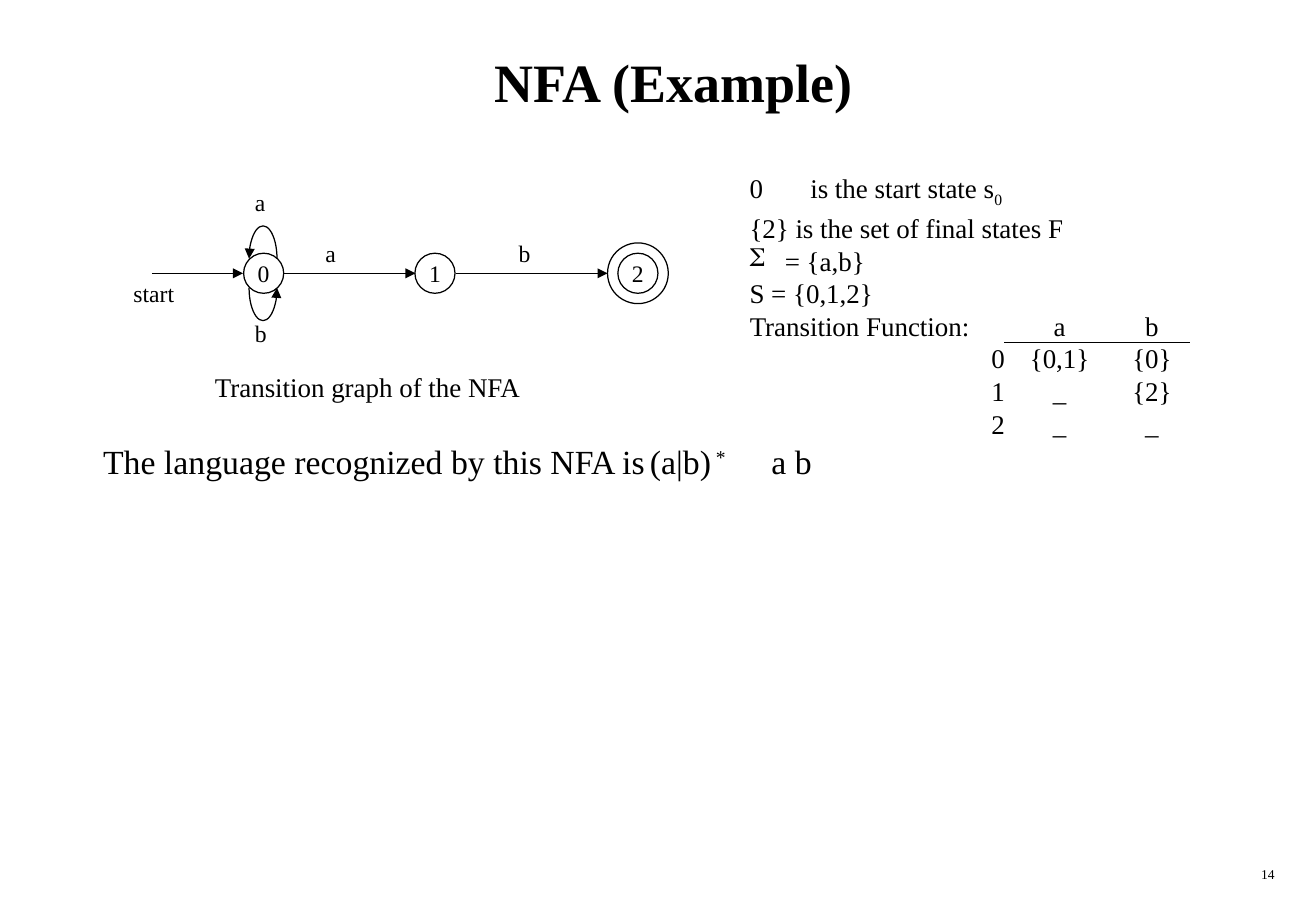
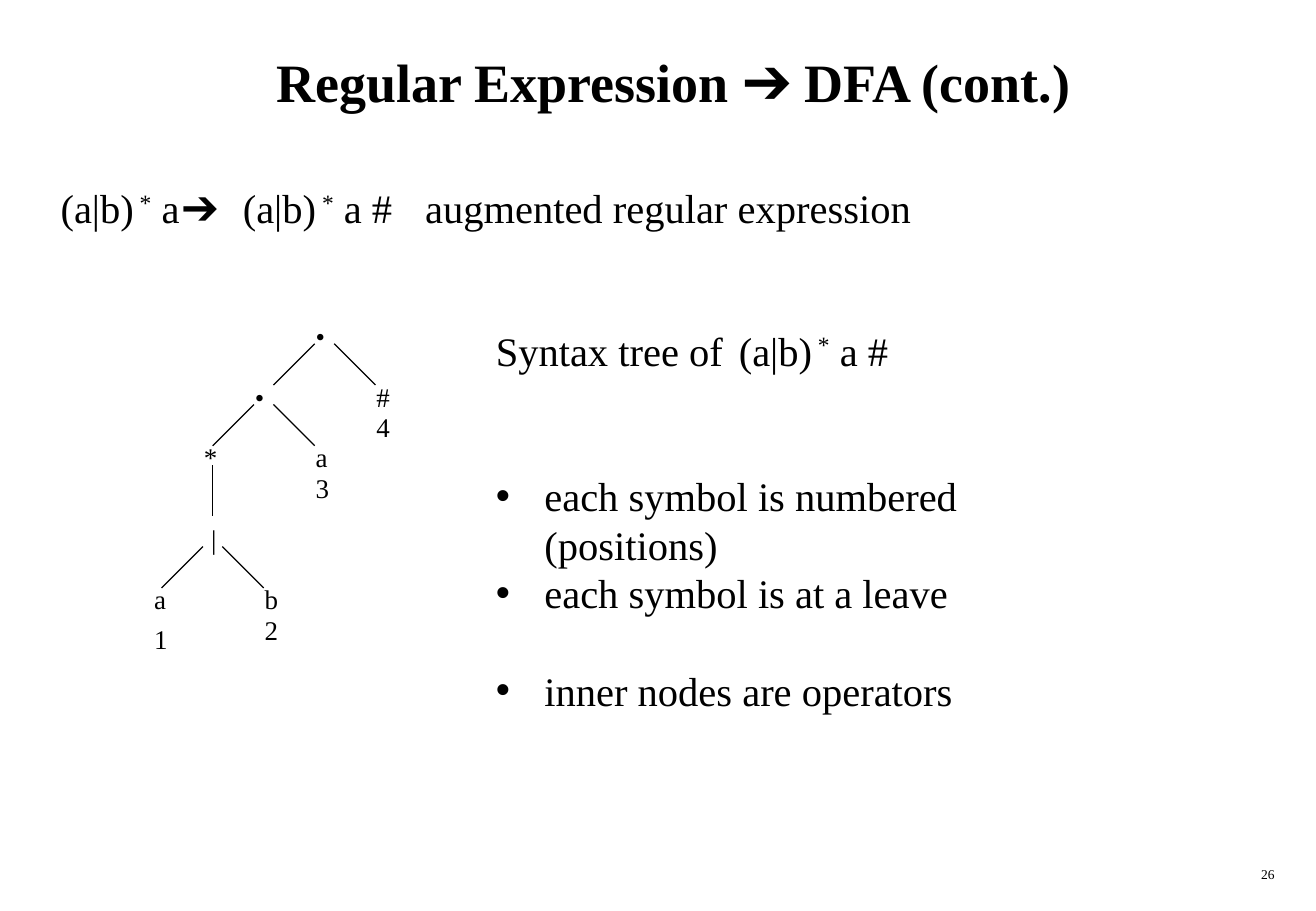
from lxml import etree
from pptx import Presentation
from pptx.dml.color import RGBColor
from pptx.enum.shapes import MSO_CONNECTOR, MSO_SHAPE
from pptx.enum.text import MSO_ANCHOR, MSO_AUTO_SIZE, PP_ALIGN
from pptx.oxml.ns import qn
from pptx.util import Inches, Pt

STRAIGHT = MSO_CONNECTOR.STRAIGHT
ELLIPSE, ARC = MSO_SHAPE.OVAL, MSO_SHAPE.ARC
LEFT, CENTER, RIGHT = PP_ALIGN.LEFT, PP_ALIGN.CENTER, PP_ALIGN.RIGHT
TOP, MIDDLE = MSO_ANCHOR.TOP, MSO_ANCHOR.MIDDLE
NO_AUTOFIT = MSO_AUTO_SIZE.NONE
TITLE_ONLY, TITLE_AND_BODY = 5, 1

FONT = "Times New Roman"
BLACK = "000000"
LINE_WIDTH = 0.75
LINE_HEIGHT = 1.2
STATE_SIZE, FINAL_SIZE = 0.33, 0.5
STATE_AXIS = 2.25
SUB, SUPER = -25, 30
STAR = (" *", SUPER)


def color(value):
    """Turn a hex string into a colour."""
    return RGBColor.from_string(value)


def write(para, text, *, size, bold=False, baseline=0, hue=BLACK):
    """Add one formatted span of text to a paragraph."""
    span = para.add_run()
    span.text = text
    span.font.name = FONT
    span.font.size = Pt(size)
    span.font.bold = bold
    span.font.color.rgb = color(hue)
    if baseline:
        span.font._element.set("baseline", str(baseline * 1000))


def fill_para(para, spans, *, size, align=LEFT, before=0, indent=0, bullet=None,
              tabs=(), bold=False):
    """Lay out a paragraph and write its spans, each a string or (string, baseline)."""
    props = para._p.get_or_add_pPr()
    props.set("marL", str(Inches(indent)))
    props.set("indent", str(-Inches(indent)))
    if bullet:
        etree.SubElement(props, qn("a:buChar")).set("char", bullet)
    else:
        etree.SubElement(props, qn("a:buNone"))
    if tabs:
        stops = etree.SubElement(props, qn("a:tabLst"))
        for position in tabs:
            etree.SubElement(stops, qn("a:tab"), pos=str(Inches(position)), algn="l")
    para.alignment = align
    para.line_spacing = Pt(round(size * LINE_HEIGHT, 1))
    para.space_before = Pt(before)
    para.space_after = Pt(0)
    for part in spans:
        text, baseline = (part, 0) if isinstance(part, str) else part
        write(para, text, size=size, bold=bold, baseline=baseline)


def fill_box(box, paras, *, size, anchor=TOP, margin=0.1, **style):
    """Fill a shape with paragraphs given as (spans, format) pairs."""
    frame = box.text_frame
    frame.word_wrap = True
    frame.auto_size = NO_AUTOFIT
    frame.vertical_anchor = anchor
    frame.margin_left = frame.margin_right = Inches(margin)
    frame.margin_top = frame.margin_bottom = Inches(margin / 2)
    for index, (spans, extra) in enumerate(paras):
        para = frame.add_paragraph() if index else frame.paragraphs[0]
        fill_para(para, spans, size=size, **style, **extra)


def place(shape, left, top, width, height):
    """Move and size a shape, in inches."""
    shape.left, shape.top = Inches(left), Inches(top)
    shape.width, shape.height = Inches(width), Inches(height)


def add_text(page, paras, area, **style):
    """Add a text box."""
    box = page.shapes.add_textbox(*map(Inches, area))
    fill_box(box, paras, **style)


def add_label(page, text, left, top, size):
    """Add a short label of one line."""
    add_text(page, [([text], {})], (left, top, 0.8, 0.35), size=size)


def add_page(deck, layout, title, number):
    """Add a slide with its title and page number."""
    page = deck.slides.add_slide(deck.slide_layouts[layout])
    place(page.shapes.title, 0.42, 0.17, 10.25, 1)
    fill_box(page.shapes.title, [([title], {})], size=32, anchor=MIDDLE,
             align=CENTER, bold=True)
    add_text(page, [([number], {})], (8.33, 7.08, 2.26, 0.25), size=8, align=RIGHT)
    return page


def style_line(shape, arrow=None):
    """Draw a thin black line, with an arrowhead at headEnd or tailEnd."""
    shape.line.color.rgb = color(BLACK)
    shape.line.width = Pt(LINE_WIDTH)
    if arrow:
        etree.SubElement(shape.line._get_or_add_ln(), qn("a:" + arrow)).set("type", "triangle")


def add_line(page, start, end, arrow=None):
    """Add a straight line between two points."""
    line = page.shapes.add_connector(STRAIGHT, *map(Inches, start + end))
    style_line(line, arrow)
    etree.SubElement(line._element.spPr, qn("a:effectLst"))


def add_outline(page, kind, area, arrow=None):
    """Add an unfilled shape with a thin outline."""
    shape = page.shapes.add_shape(kind, *map(Inches, area))
    shape.shadow.inherit = False
    shape.fill.background()
    style_line(shape, arrow)
    return shape


def add_circle(page, middle, diameter):
    """Add a circle centred on the axis of the states."""
    radius = diameter / 2
    return add_outline(page, ELLIPSE, (middle - radius, STATE_AXIS - radius, diameter, diameter))


def add_state(page, name, middle):
    """Add a numbered state."""
    fill_box(add_circle(page, middle, STATE_SIZE), [([name], {})], size=14,
             anchor=MIDDLE, align=CENTER, margin=0)


def add_loop(page, top, start, end):
    """Add a half-ellipse arrow that returns to state 0."""
    loop = add_outline(page, ARC, (2.05, top, 0.23, 0.54), "headEnd")
    loop.adjustments[0] = start * 0.6
    loop.adjustments[1] = end * 0.6


def add_border(cell, side):
    """Give one side of a table cell a black line."""
    border = etree.Element(qn("a:" + side), w=str(Pt(LINE_WIDTH)))
    fill = etree.SubElement(border, qn("a:solidFill"))
    etree.SubElement(fill, qn("a:srgbClr")).set("val", BLACK)
    cell._tc.get_or_add_tcPr().insert(0, border)


def add_transition_table(page, rows, left, top, widths, row_height):
    """Add the transition function, with a rule under its input symbols."""
    frame = page.shapes.add_table(len(rows), len(widths), Inches(left), Inches(top),
                                  Inches(sum(widths)), Inches(row_height * len(rows)))
    table = frame.table
    table.first_row = table.horz_banding = False
    for column, width in zip(table.columns, widths):
        column.width = Inches(width)
    for y, row in enumerate(rows):
        table.rows[y].height = Inches(row_height)
        for x, text in enumerate(row):
            cell = table.cell(y, x)
            cell.fill.background()
            cell.margin_left = cell.margin_right = 0
            cell.margin_top = cell.margin_bottom = 0
            align = CENTER if x else RIGHT if y else LEFT
            fill_para(cell.text_frame.paragraphs[0], [text], size=16, align=align)
            if x and y < 2:
                add_border(cell, "lnT" if y else "lnB")


def add_branches(page, middle, top):
    """Add the two lines that lead down from a node of the tree."""
    for side in (-1, 1):
        add_line(page, (middle + side * 0.08, top), (middle + side * 0.42, top + 0.34))


def build_nfa(deck):
    """Build the slide with the transition graph."""
    page = add_page(deck, TITLE_ONLY, "NFA (Example)", "14")
    for name, middle in (("0", 2.17), ("1", 3.58), ("2", 5.25)):
        add_state(page, name, middle)
    add_circle(page, 5.25, FINAL_SIZE)
    for start, end in ((1.25, 2), (2.33, 3.42), (3.75, 5)):
        add_line(page, (start, STATE_AXIS), (end, STATE_AXIS), "tailEnd")
    add_loop(page, 1.86, 180, 0)
    add_loop(page, 2.1, 0, 180)
    for text, left, top in (("a", 2.58, 1.92), ("b", 4.17, 1.92), ("start", 1, 2.25),
                            ("a", 2, 1.5), ("b", 2, 2.58)):
        add_label(page, text, left, top, 14)
    add_text(page, [
        (["0\tis the start state s", ("0", SUB)], {"tabs": (0.22,)}),
        (["{2} is the set of final states F"], {"before": 2}),
        (["= {a,b}"], {"bullet": "Σ", "indent": 0.29}),
        (["S = {0,1,2}"], {}),
    ], (6.07, 1.4, 3.69, 1.2), size=16)
    add_transition_table(page, [
        ("Transition Function:", "a", "b"),
        ("0", "{0,1}", "{0}"),
        ("1", "_", "{2}"),
        ("2", "_", "_"),
    ], 6.17, 2.55, (2.1, 0.9, 0.62), 0.27)
    add_text(page, [(["Transition graph of the NFA"], {})], (1.67, 3, 3.39, 0.37), size=16)
    add_text(page, [(["The language recognized by this NFA is\t(a|b)", STAR, "\ta b"],
                     {"tabs": (4.66, 5.41)})], (0.75, 3.58, 6.83, 0.43), size=20)


def build_syntax_tree(deck):
    """Build the slide with the syntax tree."""
    page = add_page(deck, TITLE_AND_BODY, "Regular Expression ➔ DFA (cont.)", "26")
    add_text(page, [(["(a|b)", STAR, " a\t➔\t(a|b)", STAR, " a #\taugmented regular expression"],
                     {"tabs": (1.24, 1.7, 3)})], (0.4, 1.46, 8.28, 0.5), size=24)
    for middle, top in ((2.67, 2.83), (2.17, 3.33), (1.75, 4.5)):
        add_branches(page, middle, top)
    add_line(page, (1.75, 3.83), (1.75, 4.25))
    for text, left, top in (("•", 2.5, 2.58), ("•", 2, 3.08), ("*", 1.58, 3.58),
                            ("|", 1.64, 4.25)):
        add_label(page, text, left, top, 16)
    for symbol, position, left, top, drop in (
            ("a", "1", 1.17, 4.75, 0.33), ("b", "2", 2.08, 4.75, 0.25),
            ("a", "3", 2.5, 3.58, 0.25), ("#", "4", 3, 3.08, 0.25)):
        add_label(page, symbol, left, top, 16)
        add_label(page, position, left, top + drop, 16)
    body = page.placeholders[1]
    place(body, 3.98, 2.63, 5.39, 3.3)
    item = {"bullet": "•", "indent": 0.4}
    fill_box(body, [
        (["Syntax tree of\t(a|b)", STAR, " a #"], {"tabs": (2.12,)}),
        (["each symbol is numbered (positions)"], {"before": 57.6, **item}),
        (["each symbol is at a leave"], item),
        (["inner nodes are operators"], {"before": 28.8, **item}),
    ], size=24)


def main():
    """Build and save the deck."""
    deck = Presentation()
    deck.slide_width, deck.slide_height = Inches(10.83), Inches(7.5)
    build_nfa(deck)
    build_syntax_tree(deck)
    deck.save("out.pptx")


if __name__ == "__main__":
    main()
